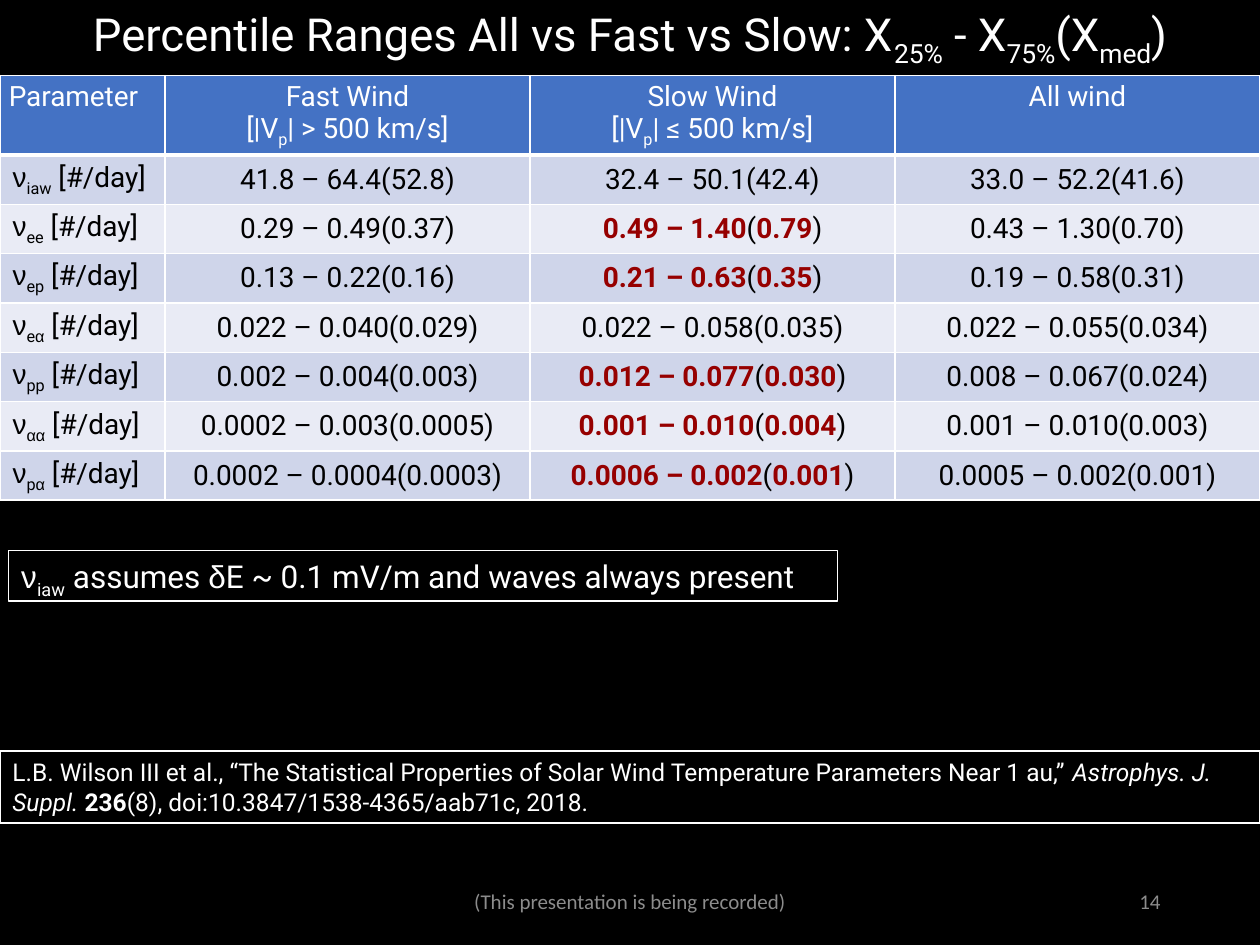
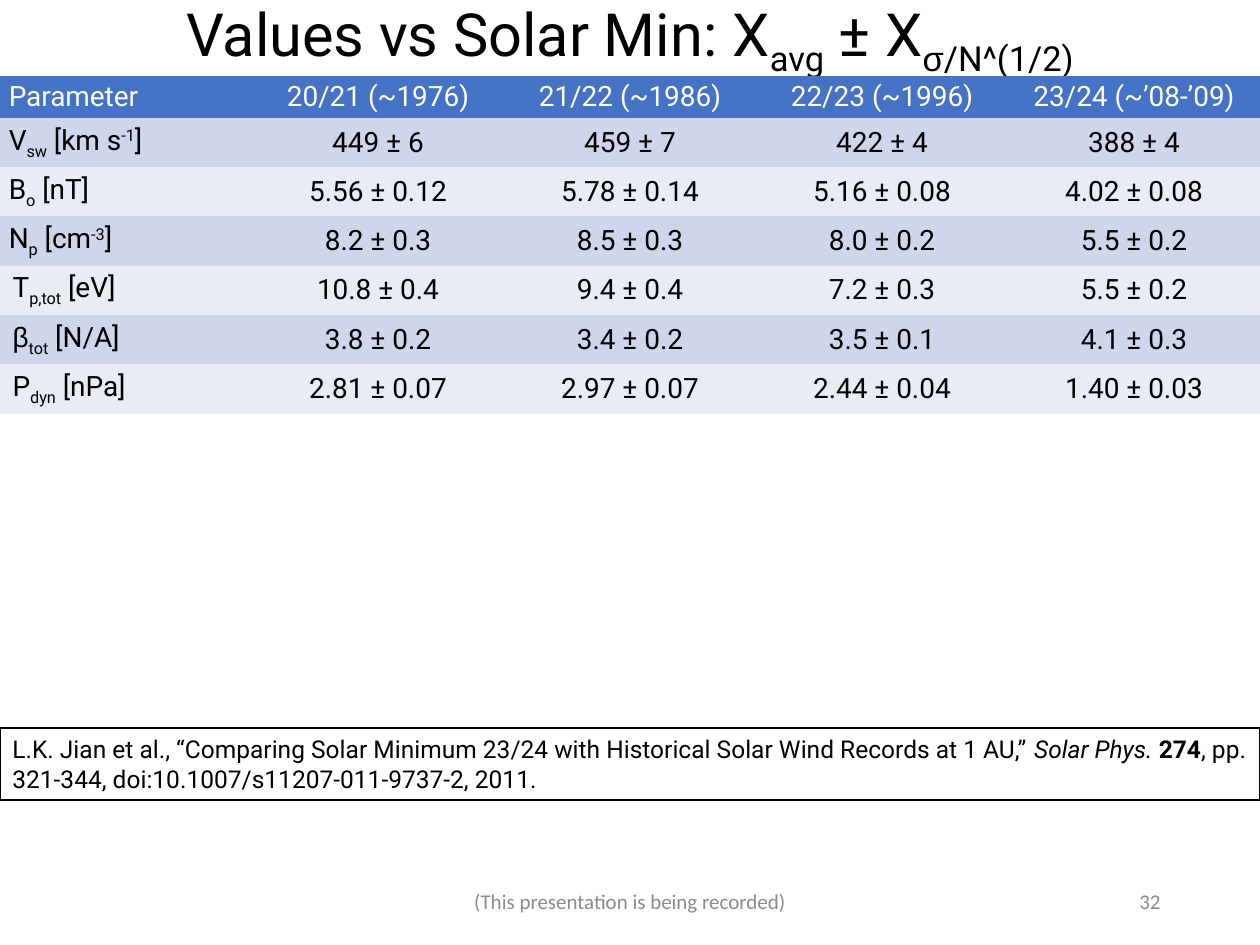
from itertools import groupby

from lxml import etree
from pptx import Presentation
from pptx.dml.color import RGBColor
from pptx.enum.shapes import MSO_SHAPE
from pptx.enum.text import MSO_ANCHOR, MSO_AUTO_SIZE, PP_ALIGN
from pptx.oxml.ns import qn
from pptx.util import Inches, Pt

LEFT, CENTER, RIGHT = PP_ALIGN.LEFT, PP_ALIGN.CENTER, PP_ALIGN.RIGHT
TOP, MIDDLE = MSO_ANCHOR.TOP, MSO_ANCHOR.MIDDLE
NO_AUTOFIT = MSO_AUTO_SIZE.NONE
RECTANGLE = MSO_SHAPE.RECTANGLE

COLORS = {
    "black": "000000",
    "white": "FFFFFF",
    "gray": "8C8C8C",
    "header": "4472C4",
    "band_dark": "CFD5EA",
    "band_light": "E9EBF5",
    "highlight": "960000",
}
TEXT_FONT, GREEK_FONT, FOOTER_FONT = "Roboto", "Arial", "Calibri"
GREEK_LETTERS = "αβδνσ"
BASELINES = {"_": "-25000", "^": "30000"}
FONT_MARKS = {"/": {"italic": True}, "*": {"bold": True}, "!": {"bold": True}}

SLIDE_WIDTH, SLIDE_HEIGHT = 10, 7.5
TABLE_TOP = 0.6
BODY_ROW_HEIGHT = 0.39
TITLE_ONLY_LAYOUT = 5
PLAIN_TABLE_STYLE = "{2D5ABB26-0587-4C30-8999-92F81FD0307C}"
TIGHT_MARGINS = {"margin_left": 0.07, "margin_right": 0.07,
                 "margin_top": 0.04, "margin_bottom": 0.04}

WIND_HEADERS = ["Parameter", "Fast Wind\n[|V{_p}| > 500 km/s]",
                "Slow Wind\n[|V{_p}| ≤ 500 km/s]", "All wind"]
WIND_RATES = {
    "iaw": ["41.8 – 64.4(52.8)", "32.4 – 50.1(42.4)", "33.0 – 52.2(41.6)"],
    "ee": ["0.29 – 0.49(0.37)", "{!0.49 – 1.40}({!0.79})", "0.43 – 1.30(0.70)"],
    "ep": ["0.13 – 0.22(0.16)", "{!0.21 – 0.63}({!0.35})", "0.19 – 0.58(0.31)"],
    "eα": ["0.022 – 0.040(0.029)", "0.022 – 0.058(0.035)", "0.022 – 0.055(0.034)"],
    "pp": ["0.002 – 0.004(0.003)", "{!0.012 – 0.077}({!0.030})", "0.008 – 0.067(0.024)"],
    "αα": ["0.0002 – 0.003(0.0005)", "{!0.001 – 0.010}({!0.004})", "0.001 – 0.010(0.003)"],
    "pα": ["0.0002 – 0.0004(0.0003)", "{!0.0006 – 0.002}({!0.001})", "0.0005 – 0.002(0.001)"],
}
MINIMUM_HEADERS = ["Parameter", "20/21 (~1976)", "21/22 (~1986)",
                   "22/23 (~1996)", "23/24 (~’08-’09)"]
MINIMUM_VALUES = [
    ["V{_sw} [km s{^-1}]", "449 ± 6", "459 ± 7", "422 ± 4", "388 ± 4"],
    ["B{_o} [nT]", "5.56 ± 0.12", "5.78 ± 0.14", "5.16 ± 0.08", "4.02 ± 0.08"],
    ["N{_p} [cm{^-3}]", "8.2 ± 0.3", "8.5 ± 0.3", "8.0 ± 0.2", "5.5 ± 0.2"],
    ["T{_p,tot} [eV]", "10.8 ± 0.4", "9.4 ± 0.4", "7.2 ± 0.3", "5.5 ± 0.2"],
    ["β{_tot} [N/A]", "3.8 ± 0.2", "3.4 ± 0.2", "3.5 ± 0.1", "4.1 ± 0.3"],
    ["P{_dyn} [nPa]", "2.81 ± 0.07", "2.97 ± 0.07", "2.44 ± 0.04", "1.40 ± 0.03"],
]


def rgb(color):
    return RGBColor.from_string(COLORS[color])


def set_attributes(target, values):
    for name, value in values.items():
        setattr(target, name, value)


def add_runs(paragraph, text, mark, size, color, font_name):
    """Add text in one style, with Greek letters in their own font."""
    for is_greek, letters in groupby(text, lambda letter: letter in GREEK_LETTERS):
        run = paragraph.add_run()
        run.text = "".join(letters)
        set_attributes(run.font, {
            "name": GREEK_FONT if is_greek else font_name,
            "size": Pt(size), "bold": False, "italic": False,
            **FONT_MARKS.get(mark, {}),
        })
        run.font.color.rgb = rgb("highlight" if mark == "!" else color)
        if mark in BASELINES:
            run.font._element.set("baseline", BASELINES[mark])


def write_text(frame, text, size, color, align=LEFT, font_name=TEXT_FONT):
    """Fill a frame, one paragraph a line.

    Braces hold styled text: {_subscript}, {^superscript}, {/italic},
    {*bold} and {!highlight}.
    """
    for index, line in enumerate(text.split("\n")):
        paragraph = frame.add_paragraph() if index else frame.paragraphs[0]
        paragraph.alignment = align
        plain, *chunks = line.split("{")
        add_runs(paragraph, plain, "", size, color, font_name)
        for chunk in chunks:
            styled, _, plain = chunk.partition("}")
            add_runs(paragraph, styled[1:], styled[0], size, color, font_name)
            add_runs(paragraph, plain, "", size, color, font_name)


def format_frame(frame, anchor):
    set_attributes(frame, {"word_wrap": True, "auto_size": NO_AUTOFIT,
                           "vertical_anchor": anchor})


def add_slide(presentation, background):
    layout = presentation.slide_layouts[TITLE_ONLY_LAYOUT]
    slide = presentation.slides.add_slide(layout)
    slide.background.fill.solid()
    slide.background.fill.fore_color.rgb = rgb(background)
    return slide


def add_title(slide, text, top, height, size, color):
    title = slide.shapes.title
    set_attributes(title, {"left": 0, "top": Inches(top),
                           "width": Inches(SLIDE_WIDTH), "height": Inches(height)})
    format_frame(title.text_frame, TOP)
    write_text(title.text_frame, text, size, color, CENTER)


def add_outlined_box(slide, text, box, size, color, line_width):
    shape = slide.shapes.add_shape(RECTANGLE, *map(Inches, box))
    shape.shadow.inherit = False
    shape.fill.background()
    shape.line.color.rgb = rgb(color)
    shape.line.width = Pt(line_width)
    format_frame(shape.text_frame, TOP)
    write_text(shape.text_frame, text, size, color)


def add_citation(slide, text, top, color):
    add_outlined_box(slide, text, (0, top, SLIDE_WIDTH, 0.57), 14, color, 1)


def add_footer(slide, number):
    for text, left, width, align in [
        ("(This presentation is being recorded)", 3.31, 3.38, CENTER),
        (str(number), 7.06, 2.25, RIGHT),
    ]:
        box = slide.shapes.add_textbox(Inches(left), Inches(6.95),
                                       Inches(width), Inches(0.4))
        format_frame(box.text_frame, MIDDLE)
        write_text(box.text_frame, text, 12, "gray", align, FOOTER_FONT)


def add_cell_borders(cell, bottom_width):
    properties = cell._tc.get_or_add_tcPr()
    for side, width in {"L": 1, "R": 1, "T": 1, "B": bottom_width}.items():
        line = etree.SubElement(properties, qn(f"a:ln{side}"), w=str(Pt(width)))
        fill = etree.SubElement(line, qn("a:solidFill"))
        etree.SubElement(fill, qn("a:srgbClr"), val=COLORS["white"])


def add_value_table(slide, rows, label_width, header_height,
                    tight_labels=0, bordered=False):
    """Add a banded table; the first tight_labels row labels get small margins."""
    column_count = len(rows[0])
    height = header_height + BODY_ROW_HEIGHT * (len(rows) - 1)
    frame = slide.shapes.add_table(len(rows), column_count, 0, Inches(TABLE_TOP),
                                   Inches(SLIDE_WIDTH), Inches(height))
    table = frame.table
    table._tbl.tblPr.find(qn("a:tableStyleId")).text = PLAIN_TABLE_STYLE
    table.horz_banding = False
    value_width = (SLIDE_WIDTH - label_width) / (column_count - 1)
    for index, column in enumerate(table.columns):
        column.width = Inches(value_width if index else label_width)

    for row_index, values in enumerate(rows):
        is_header = row_index == 0
        table.rows[row_index].height = Inches(
            header_height if is_header else BODY_ROW_HEIGHT)
        band = "band_dark" if row_index % 2 else "band_light"
        for column_index, text in enumerate(values):
            cell = table.cell(row_index, column_index)
            if bordered:
                add_cell_borders(cell, 3 if is_header else 1)
            cell.fill.solid()
            cell.fill.fore_color.rgb = rgb("header" if is_header else band)
            cell.vertical_anchor = TOP if is_header else MIDDLE
            if column_index or row_index <= tight_labels:
                set_attributes(cell, {side: Inches(margin) for side, margin
                                      in TIGHT_MARGINS.items()})
            write_text(cell.text_frame, text, 16, "white" if is_header else "black",
                       CENTER if column_index else LEFT)


def build_wind_slide(presentation):
    slide = add_slide(presentation, "black")
    add_title(slide, "Percentile Ranges All vs Fast vs Slow: "
              "X{_25%} - X{_75%}(X{_med})", 0, 0.54, 26, "white")
    rates = [[f"ν{{_{pair}}} [#/day]", *values] for pair, values in WIND_RATES.items()]
    add_value_table(slide, [WIND_HEADERS, *rates], label_width=1.31,
                    header_height=0.61, bordered=True)
    add_outlined_box(slide, "ν{_iaw} assumes δE ~ 0.1 mV/m and waves always present",
                     (0.07, 4.37, 6.58, 0.4), 18, "white", 0.75)
    add_citation(slide, "L.B. Wilson III et al., “The Statistical Properties of Solar "
                 "Wind Temperature Parameters Near 1 au,” {/Astrophys. J. Suppl. }"
                 "{*236}(8), doi:10.3847/1538-4365/aab71c, 2018.", 5.96, "white")
    add_footer(slide, 14)


def build_minimum_slide(presentation):
    slide = add_slide(presentation, "white")
    add_title(slide, "Values vs Solar Min: X{_avg} ± X{_σ/N^(1/2)}",
              -0.07, 0.67, 34, "black")
    add_value_table(slide, [MINIMUM_HEADERS, *MINIMUM_VALUES], label_width=2,
                    header_height=0.33, tight_labels=3)
    add_citation(slide, "L.K. Jian et al., “Comparing Solar Minimum 23/24 with "
                 "Historical Solar Wind Records at 1 AU,” {/Solar Phys. }{*274}, "
                 "pp. 321-344, doi:10.1007/s11207-011-9737-2, 2011.", 5.78, "black")
    add_footer(slide, 32)


def main():
    presentation = Presentation()
    presentation.slide_width = Inches(SLIDE_WIDTH)
    presentation.slide_height = Inches(SLIDE_HEIGHT)
    build_wind_slide(presentation)
    build_minimum_slide(presentation)
    presentation.save("out.pptx")


if __name__ == "__main__":
    main()
